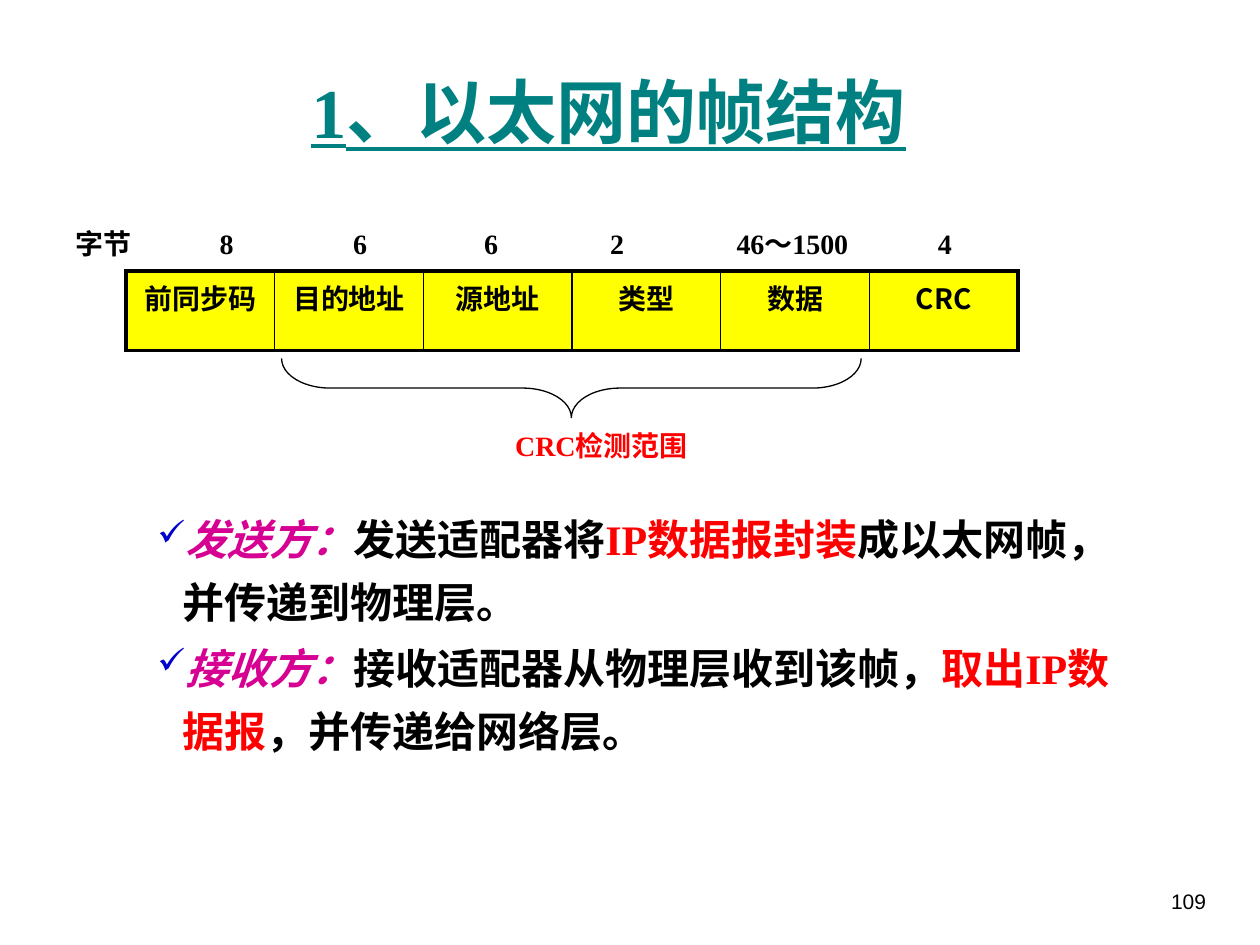
import pptx
import pptx.dml.color
import pptx.enum.shapes
import pptx.enum.text
import pptx.oxml
import pptx.oxml.ns
import pptx.util

Inches, Pt = pptx.util.Inches, pptx.util.Pt
RGBColor = pptx.dml.color.RGBColor
ALIGN = pptx.enum.text.PP_ALIGN
ANCHOR = pptx.enum.text.MSO_ANCHOR

BLACK = RGBColor(0, 0, 0)
WHITE = RGBColor(255, 255, 255)
RED = RGBColor(255, 0, 0)
TEAL = RGBColor(0, 128, 128)
YELLOW = RGBColor(255, 255, 0)
MAGENTA = RGBColor(0xD6, 0, 0x93)
TICK_BLUE = RGBColor(0, 0, 0xCC)

SERIF = {"name": "Times New Roman", "bold": True}
LABEL = {**SERIF, "size": Pt(16)}
BODY = {**SERIF, "size": Pt(24)}
HEADING = {**SERIF, "size": Pt(40), "underline": True}
FIELD = {**LABEL, "name": "Noto Sans CJK SC"}
PAGE = {"name": "Arial", "size": Pt(12)}


class FrameSlide:
    """Hold the slide and draw each kind of element in its style."""

    def __init__(self, deck):
        self.slide = deck.slides.add_slide(deck.slide_layouts[5])

    def box(self, left, top, width, height):
        return [Inches(length) for length in (left, top, width, height)]

    def xml(self, parent, tag, rest):
        namespace = pptx.oxml.ns.nsdecls("a")
        parent.append(pptx.oxml.parse_xml(f"<a:{tag} {namespace} {rest}"))

    def phrase(self, paragraph, text, style, color, **extra):
        run = paragraph.add_run()
        run.text = text
        for key, value in {**style, **extra}.items():
            setattr(run.font, key, value)
        run.font.color.rgb = color

    def title(self, text, place):
        heading = self.slide.shapes.title
        heading.left, heading.top, heading.width, heading.height = self.box(*place)
        heading.text_frame.vertical_anchor = ANCHOR.MIDDLE
        paragraph = heading.text_frame.paragraphs[0]
        paragraph.alignment = ALIGN.CENTER
        self.phrase(paragraph, text, HEADING, TEAL)

    def text(self, place, text="", style=LABEL, color=BLACK, align=ALIGN.LEFT, fill=None):
        area = self.slide.shapes.add_textbox(*self.box(*place))
        if fill is not None:
            area.fill.solid()
            area.fill.fore_color.rgb = fill
        area.text_frame.word_wrap = True
        paragraph = area.text_frame.paragraphs[0]
        paragraph.alignment = align
        if text:
            self.phrase(paragraph, text, style, color)
        return area.text_frame

    def byte_row(self, place, caption, sizes):
        paragraph = self.text(place, fill=WHITE).paragraphs[0]
        stops = "".join(f'<a:tab pos="{Inches(center)}" algn="ctr"/>' for _, center in sizes)
        self.xml(paragraph._p.get_or_add_pPr(), "tabLst", f">{stops}</a:tabLst>")
        labels = [caption, *(size for size, _ in sizes)]
        self.phrase(paragraph, "\t".join(labels), LABEL, BLACK)

    def brace(self, place):
        span = self.slide.shapes.add_shape(
            pptx.enum.shapes.MSO_SHAPE.LEFT_BRACE, *self.box(*place))
        span.rotation = 270
        span.adjustments[0] = 0.82
        span.shadow.inherit = False
        span.fill.background()
        span.line.color.rgb = BLACK
        span.line.width = Pt(0.75)

    def frame_table(self, place, fields):
        table = self.slide.shapes.add_table(1, len(fields), *self.box(*place)).table
        last = len(fields) - 1
        for index, field in enumerate(fields):
            cell = table.cell(0, index)
            paragraph = cell.text_frame.paragraphs[0]
            paragraph.alignment = ALIGN.CENTER
            self.phrase(paragraph, field, FIELD, BLACK)
            borders = {"L": 1 if index else 2.25, "R": 1 if index < last else 2.25,
                       "T": 2.25, "B": 2.25}
            for side, width in borders.items():
                self.xml(cell._tc.get_or_add_tcPr(), f"ln{side}",
                         f'w="{Pt(width)}"><a:solidFill><a:srgbClr val="{BLACK}"/>'
                         f'</a:solidFill></a:ln{side}>')
            cell.fill.solid()
            cell.fill.fore_color.rgb = YELLOW

    def ticks(self, place, items):
        frame = self.text(place)
        for index, (role, *phrases) in enumerate(items):
            paragraph = frame.add_paragraph() if index else frame.paragraphs[0]
            paragraph.line_spacing = 1.25
            if index:
                paragraph.space_before = Pt(1.2)
            properties = paragraph._p.get_or_add_pPr()
            properties.set("marL", str(Inches(0.2)))
            properties.set("indent", str(Inches(-0.2)))
            self.xml(properties, "buClr", f'><a:srgbClr val="{TICK_BLUE}"/></a:buClr>')
            self.xml(properties, "buSzPct", 'val="85000"/>')
            self.xml(properties, "buChar", 'char="✓"/>')
            self.phrase(paragraph, role, BODY, MAGENTA, italic=True)
            for wording, color in phrases:
                self.phrase(paragraph, wording, BODY, color)


def main():
    deck = pptx.Presentation()
    deck.slide_width, deck.slide_height = Inches(10), Inches(7.5)
    page = FrameSlide(deck)
    page.text((8.93, 7, 0.74, 0.5), "109", PAGE, align=ALIGN.RIGHT)
    page.title("1、以太网的帧结构", (0.58, 0.25, 8.5, 1.25))
    page.text((3.99, 3.35, 1.81, 0.4), "CRC检测范围", color=RED, fill=WHITE)
    page.byte_row((0.5, 1.75, 7.58, 0.41), "字节",
                  [("8", 1.2), ("6", 2.26), ("6", 3.3), ("2", 4.3),
                   ("46～1500", 5.69), ("4", 6.9)])
    page.brace((4.3, 0.78, 0.47, 4.6))
    page.frame_table((1, 2.15, 7.08, 0.63),
                     ["前同步码", "目的地址", "源地址", "类型", "数据", "CRC"])
    page.ticks((1.15, 3.93, 7.97, 2.12), [
        ("发送方：", ("发送适配器将", BLACK), ("IP数据报封装", RED),
         ("成以太网帧，并传递到物理层。", BLACK)),
        ("接收方：", ("接收适配器从物理层收到该帧，", BLACK), ("取出IP数据报", RED),
         ("，并传递给网络层。", BLACK)),
    ])
    deck.save("out.pptx")


if __name__ == "__main__":
    main()
